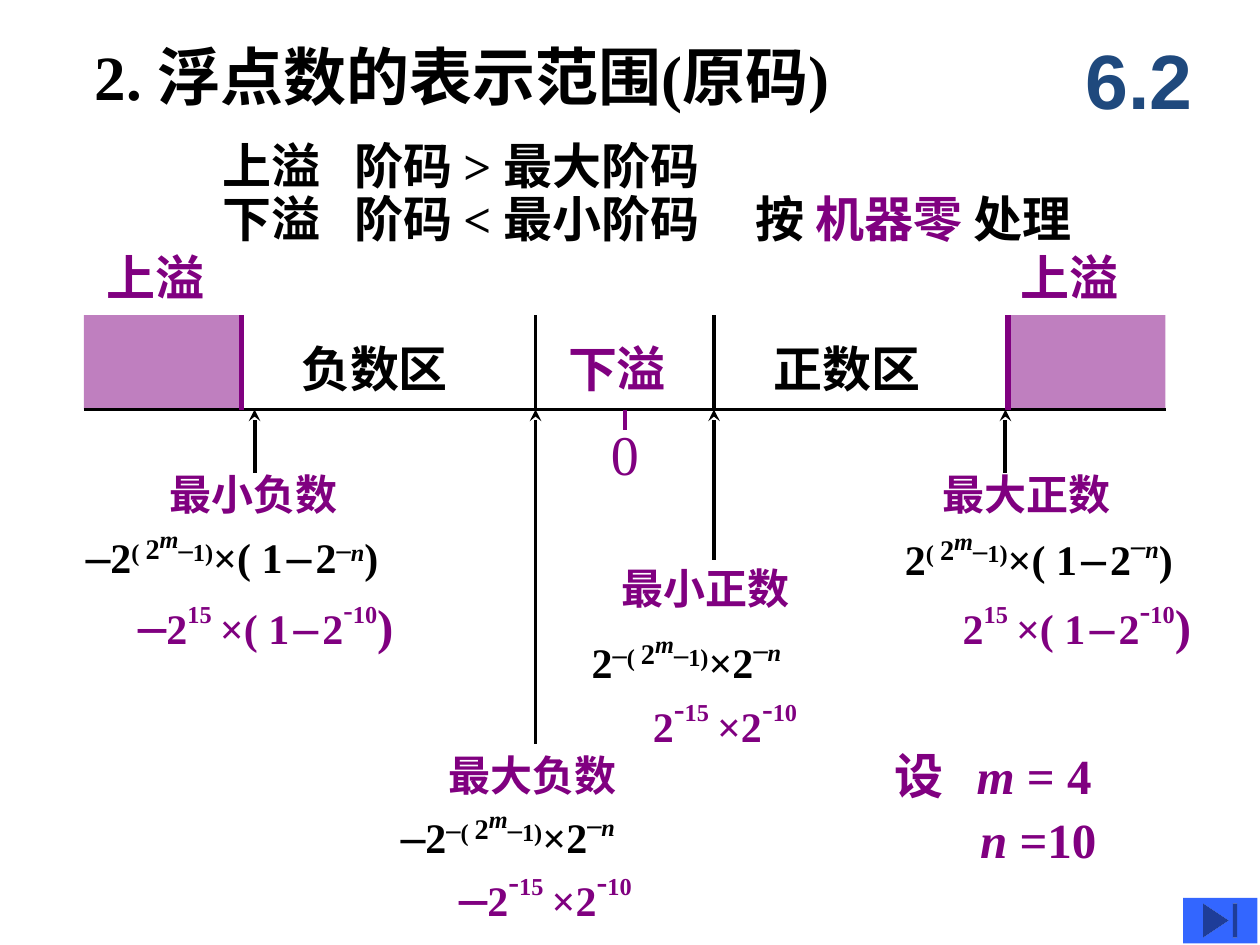
from lxml.etree import SubElement
from pptx import Presentation
from pptx.dml.color import RGBColor
from pptx.enum.shapes import MSO_CONNECTOR, MSO_SHAPE
from pptx.enum.text import MSO_ANCHOR, MSO_AUTO_SIZE, PP_ALIGN
from pptx.oxml.ns import qn
from pptx.util import Pt

BLACK = RGBColor(0x00, 0x00, 0x00)
PURPLE = RGBColor(0x80, 0x00, 0x80)
NAVY = RGBColor(0x1F, 0x49, 0x7D)
BLUE = RGBColor(0x33, 0x66, 0xFF)
SERIF = "Times New Roman"


def add_run(paragraph, text, size, color, base=0, italic=False, bold=True, face=SERIF):
    run = paragraph.add_run()
    run.text = text
    font = run.font
    font.name, font.size, font.bold, font.italic = face, Pt(size), bold, italic
    font.color.rgb = color
    if base:
        run._r.get_or_add_rPr().set("baseline", str(base * 1000))


def add_text(slide, box, runs, color, wrap=True):
    shape = slide.shapes.add_textbox(*map(Pt, box))
    frame = shape.text_frame
    frame.word_wrap = wrap
    frame.auto_size = MSO_AUTO_SIZE.SHAPE_TO_FIT_TEXT
    for text, size, *style in runs:
        add_run(frame.paragraphs[0], text, size, color, *style)
    return frame


def add_line(slide, start, end, color, width=2.25, arrow=False):
    line = slide.shapes.add_connector(MSO_CONNECTOR.STRAIGHT, *map(Pt, (*start, *end)))
    line.line.color.rgb = color
    line.line.width = Pt(width)
    if arrow:
        SubElement(line.line._get_or_add_ln(), qn("a:tailEnd"), type="stealth")
    SubElement(line._element.spPr, qn("a:effectLst"))


def add_block(slide, kind, box, color, opacity=100):
    shape = slide.shapes.add_shape(kind, *map(Pt, box))
    shape.shadow.inherit = False
    shape.fill.solid()
    shape.fill.fore_color.rgb = color
    shape.line.fill.background()
    if opacity < 100:
        solid = shape._element.spPr.find(qn("a:solidFill"))
        SubElement(solid[0], qn("a:alpha"), val=str(opacity * 1000))


def add_tab_stops(paragraph, positions):
    tabs = SubElement(paragraph._p.get_or_add_pPr(), qn("a:tabLst"))
    for position in positions:
        SubElement(tabs, qn("a:tab"), pos=str(Pt(position)), algn="l")


def header(slide, left, top):
    add_text(slide, (left, top, 496, 51), [("2. 浮点数的表示范围(原码)".replace("(", "(").replace(")", ")"), 36)], BLACK)
    frame = add_text(slide, (left + 559, top - 6, 90, 66), [], NAVY)
    frame.auto_size = MSO_AUTO_SIZE.NONE
    frame.vertical_anchor = MSO_ANCHOR.MIDDLE
    frame.paragraphs[0].alignment = PP_ALIGN.CENTER
    add_run(frame.paragraphs[0], "6.2", 44, NAVY, face="Arial")


def overflow_rules(slide, box):
    frame = add_text(slide, box, [], BLACK)
    frame.margin_top = Pt(5.76)
    rules = [
        [("上溢\t阶码 > 最大阶码", BLACK)],
        [("下溢\t阶码 < 最小阶码\t按 ", BLACK), ("机器零 ", PURPLE), ("处理", BLACK)],
    ]
    for index, rule in enumerate(rules):
        paragraph = frame.add_paragraph() if index else frame.paragraphs[0]
        paragraph.line_spacing = 0.6
        paragraph.space_before = Pt(10)
        add_tab_stops(paragraph, (75.5, 304.5))
        for text, color in rule:
            add_run(paragraph, text, 28, color)


def number_line(slide, left, top, width, height):
    axis = top + height
    right = left + width
    band = 90
    for x in (left, right - band):
        add_block(slide, MSO_SHAPE.RECTANGLE, (x, top, band, height), PURPLE, 50)
    add_line(slide, (left, axis), (right, axis), BLACK)
    for offset, color, weight in ((band, PURPLE, 3), (258, BLACK, 2.25),
                                  (360, BLACK, 2.25), (width - band, PURPLE, 3)):
        add_line(slide, (left + offset, top), (left + offset, axis), color, weight)
    add_line(slide, (left + 309, axis), (left + 309, axis + 11.5), PURPLE)
    for text, x, y, label_width, color in (
            ("上溢", 6, -42, 70.5, PURPLE), ("负数区", 117, 10, 98.5, BLACK),
            ("下溢", 269.5, 10, 70.5, PURPLE), ("正数区", 387, 10, 98.5, BLACK),
            ("上溢", 528, -42, 70.5, PURPLE)):
        add_text(slide, (left + x, top + y, label_width, 41), [(text, 28)], color, False)
    add_text(slide, (left + 294, axis + 2, 30, 45), [("0", 32, 0, False, False)], PURPLE, False)


def formula_runs(negative, largest, minus_base):
    sign = [("–", 28)] if negative else []
    power = [("( ", 24, 30), ("2", 28, 30), ("m", 24, 60, True), ("–", 28, 30), ("1)", 24, 30)]
    fraction = [("–", 28, minus_base), ("n", 24, minus_base, True)]
    if largest:
        return [*sign, ("2", 24), *power, ("×( 1", 24), (" ", 10), ("–", 28),
                (" ", 10), ("2", 24), *fraction, (")", 24)]
    return [*sign, ("2", 24), ("–", 28, 30), *power, ("×2", 24), *fraction]


def value_runs(negative, largest):
    sign = [("–", 32)] if negative else []
    gap = (" ", 32, 30)
    minus = ("-", 28, 50) if negative and largest else ("-", 32, 40)
    ten = [minus, ("10", 24, 50)]
    if largest:
        return [*sign, ("2", 24), ("15", 24, 50), gap, ("×( 1", 24), (" ", 10),
                ("–", 28), (" ", 10), ("2", 24), *ten, (")", 28), gap]
    return [*sign, ("2", 24), minus, ("15", 24, 50), gap, ("×2", 24), *ten, gap]


def landmark(slide, box, name, arrow, formula, value, negative, largest, minus_base=40):
    left, top, width = box
    arrow_x, arrow_bottom, axis = arrow
    add_text(slide, (left, top, width, 36), [(name, 24)], PURPLE, False)
    add_line(slide, (arrow_x, arrow_bottom), (arrow_x, axis), BLACK, arrow=True)
    for (x, y, text_width, height), runs, color in (
            (formula, formula_runs(negative, largest, minus_base), BLACK),
            (value, value_runs(negative, largest), PURPLE)):
        add_text(slide, (left + x, top + y, text_width, height), runs, color)


def assumption(slide, left, top):
    frame = add_text(slide, (left, top, 204, 41),
                     [("设\t", 28), ("m", 28, 0, True), (" = 4", 28)], PURPLE)
    add_tab_stops(frame.paragraphs[0], (47,))
    add_text(slide, (left + 42, top + 36.5, 204, 41),
             [(" ", 28), ("n", 28, 0, True), (" =10", 28)], PURPLE)


def main():
    presentation = Presentation()
    presentation.slide_width, presentation.slide_height = Pt(720), Pt(540)
    slide = presentation.slides.add_slide(presentation.slide_layouts[6])
    axis = 234
    header(slide, 47, 18)
    overflow_rules(slide, (120, 83.5, 534, 66))
    number_line(slide, 48, 180, 618, 54)
    landmark(slide, (90, 264, 111), "最小负数", (145.5, 270, axis),
             (-48, 32, 234, 41), (-18, 69, 204, 45), True, True, 30)
    landmark(slide, (249, 425, 111), "最大负数", (306, 425, axis),
             (-27, 31, 192, 41), (6.5, 63, 174, 45), True, False)
    landmark(slide, (348, 318, 111), "最小正数", (408, 320, axis),
             (-17, 38, 180, 36), (18, 71, 174, 36), False, False)
    landmark(slide, (531.5, 264, 111), "最大正数", (574.5, 270, axis),
             (-21.5, 33, 210, 41), (11.5, 69, 204, 41), False, True)
    assumption(slide, 504, 422.5)
    add_block(slide, MSO_SHAPE.ACTION_BUTTON_END, (676, 513, 42.5, 26), BLUE)
    presentation.save("out.pptx")


main()
